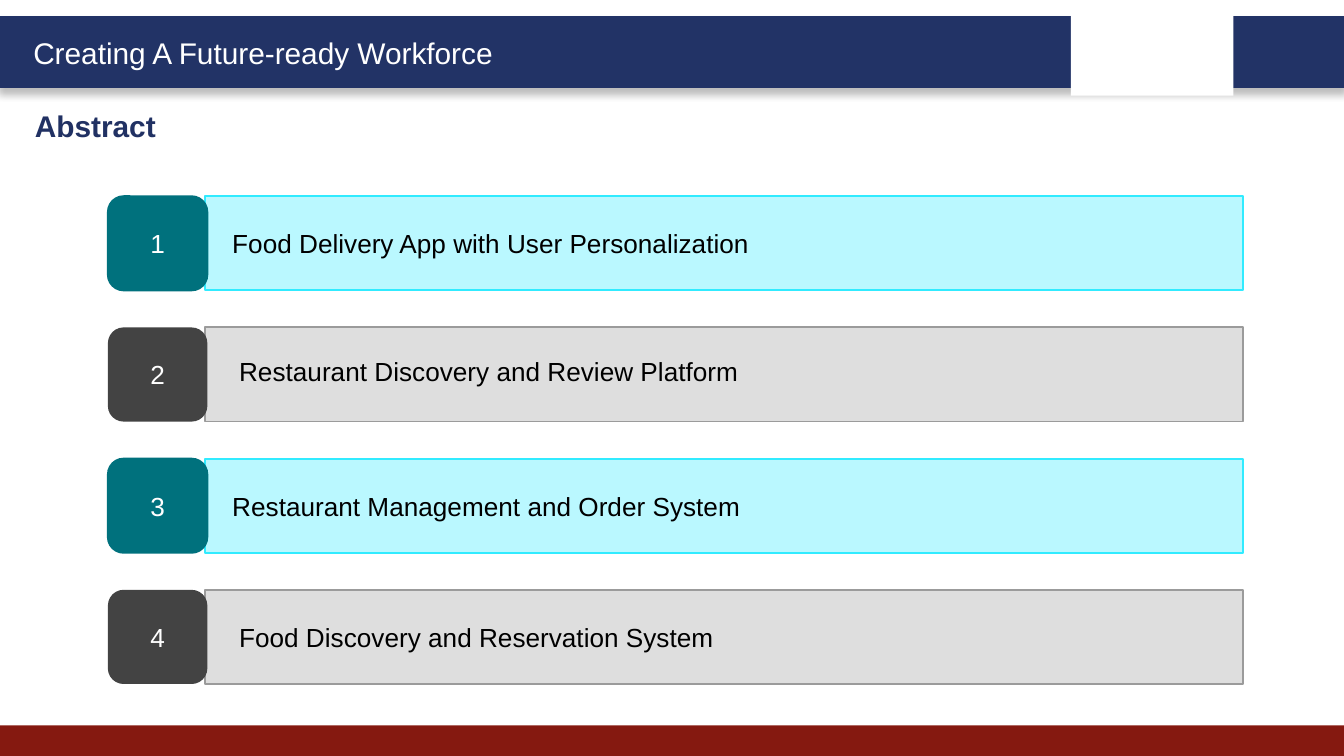
from dataclasses import dataclass

from lxml.etree import SubElement
from pptx import Presentation
from pptx.dml.color import RGBColor
from pptx.enum.shapes import MSO_SHAPE
from pptx.enum.text import MSO_ANCHOR, MSO_AUTO_SIZE, PP_ALIGN
from pptx.oxml.ns import qn
from pptx.util import Cm, Pt


@dataclass(frozen=True)
class Theme:
    font: str = "Arial"
    head: int = 16
    body: int = 14
    white: str = "FFFFFF"
    black: str = "000000"
    navy: str = "223366"
    title: str = "213163"
    red: str = "851910"
    teal: str = "00717D"
    aqua: str = "BAF8FF"
    cyan: str = "31EBFF"
    dark: str = "434343"
    pale: str = "DEDEDE"
    gray: str = "9B9B9B"


THEME = Theme()
TOP, STEP, HIGH = 3.71, 2.48, 1.78


def color(value):
    return RGBColor.from_string(value)


def write(frame, text, size=THEME.body, ink=THEME.black, bold=False,
          align=PP_ALIGN.LEFT, anchor=MSO_ANCHOR.TOP, wrap=True, left=0.25,
          fit=MSO_AUTO_SIZE.NONE):
    frame.word_wrap = wrap
    frame.auto_size = fit
    frame.vertical_anchor = anchor
    frame.margin_left = Cm(left)
    line = frame.paragraphs[0]
    line.alignment = align
    run = line.add_run()
    run.text = text
    run.font.name = THEME.font
    run.font.size = Pt(size)
    run.font.bold = bold
    run.font.color.rgb = color(ink)


def block(slide, box, fill, edge=None, width=1, kind=MSO_SHAPE.RECTANGLE):
    shape = slide.shapes.add_shape(kind, *map(Cm, box))
    shape.shadow.inherit = False
    shape.fill.solid()
    shape.fill.fore_color.rgb = color(fill)
    if edge:
        shape.line.color.rgb = color(edge)
        shape.line.width = Pt(width)
    else:
        shape.line.fill.background()
    return shape


def label(slide, box, text, **style):
    shape = slide.shapes.add_textbox(*map(Cm, box))
    write(shape.text_frame, text, fit=MSO_AUTO_SIZE.SHAPE_TO_FIT_TEXT, **style)


def shade(shape):
    effect = shape.element.spPr.find(qn("a:effectLst"))
    outer = SubElement(effect, qn("a:outerShdw"), blurRad=str(Pt(4)),
                       dist=str(Pt(3)), dir="5400000", rotWithShape="0")
    tint = SubElement(outer, qn("a:srgbClr"), val=THEME.black)
    SubElement(tint, qn("a:alpha"), val="25000")


def frame(slide):
    band = block(slide, (0, 0.33, 25.4, 1.3), THEME.navy, THEME.navy, 2)
    shade(band)
    block(slide, (0, 13.71, 25.4, 0.58), THEME.red)
    block(slide, (20.24, 0.18, 3.07, 1.63), THEME.white)
    label(slide, (0.38, 0.53, 9.6, 0.94), "Creating A Future-ready Workforce",
          size=THEME.head, ink=THEME.white)


def head(slide, text):
    title = slide.shapes.title
    title.left, title.top = Cm(0.41), Cm(1.9)
    title.width, title.height = Cm(12.29), Cm(0.94)
    write(title.text_frame, text, size=THEME.head, ink=THEME.title, bold=True,
          fit=MSO_AUTO_SIZE.SHAPE_TO_FIT_TEXT)


def row(slide, index, text, left):
    top = TOP + index * STEP
    if index % 2:
        fill, edge, dark, rim = THEME.pale, THEME.gray, THEME.dark, None
    else:
        fill, edge, dark, rim = THEME.aqua, THEME.cyan, THEME.teal, THEME.teal
    bar = block(slide, (3.88, top, 19.61, HIGH), fill, edge)
    if text:
        write(bar.text_frame, text, anchor=MSO_ANCHOR.MIDDLE, left=left)
    badge = block(slide, (2.04, top, 1.88, HIGH), dark, rim,
                  kind=MSO_SHAPE.ROUNDED_RECTANGLE)
    write(badge.text_frame, str(index + 1), ink=THEME.white,
          align=PP_ALIGN.CENTER, anchor=MSO_ANCHOR.MIDDLE)


def main():
    deck = Presentation()
    deck.slide_width, deck.slide_height = Cm(25.4), Cm(14.29)
    slide = deck.slides.add_slide(deck.slide_layouts[5])
    frame(slide)
    head(slide, "Abstract")
    rows = [
        ("Food Delivery App with User Personalization", 0.51),
        (None, 0),
        ("Restaurant Management and Order System", 0.51),
        ("Food Discovery and Reservation System", 0.64),
    ]
    for index, (text, left) in enumerate(rows):
        row(slide, index, text, left)
    label(slide, (4.27, 6.6, 10.01, 0.86),
          "Restaurant Discovery and Review Platform", wrap=False)
    deck.save("out.pptx")


if __name__ == "__main__":
    main()
